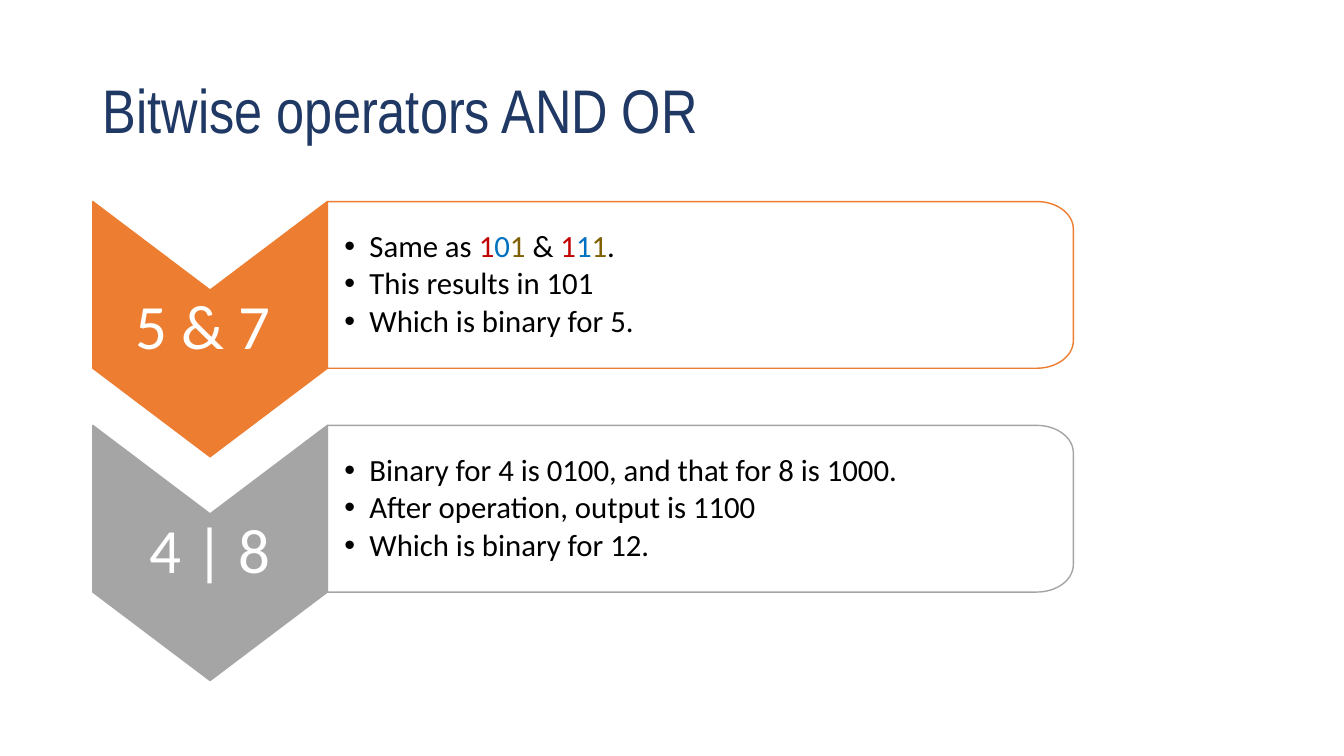
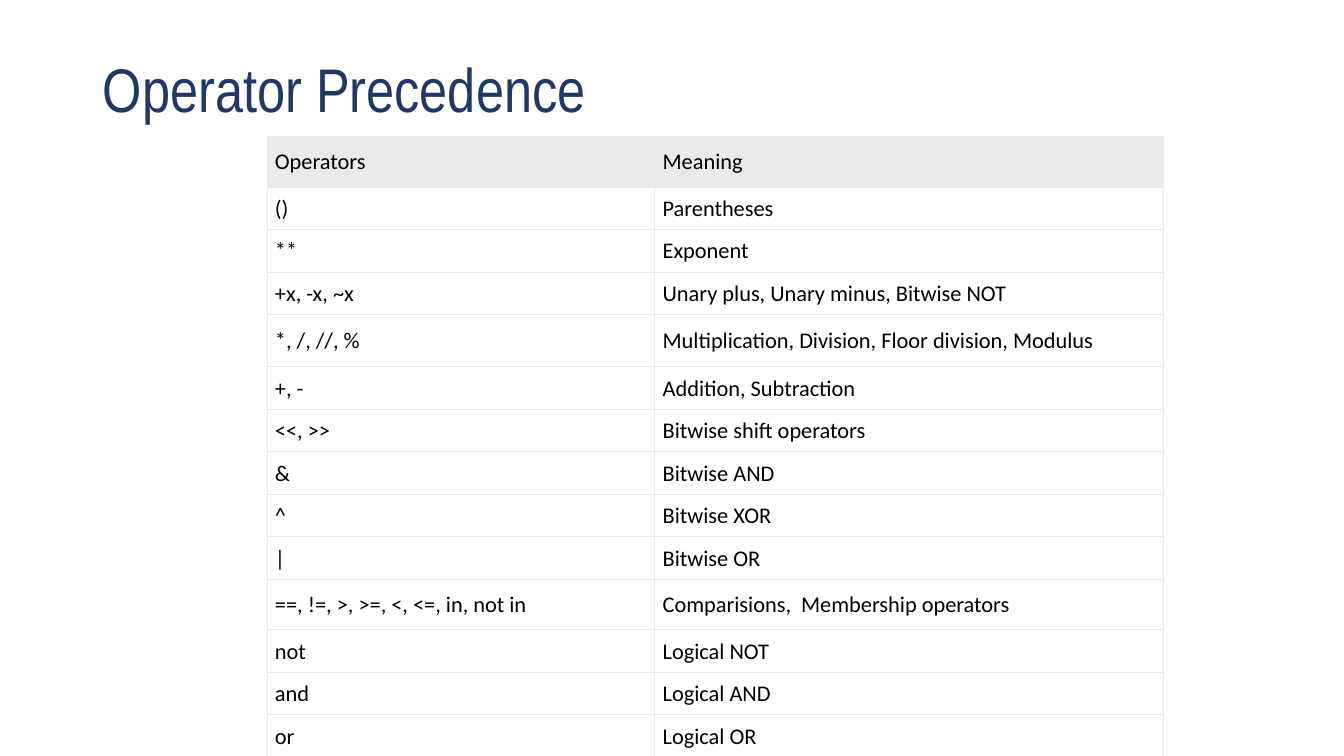
from dataclasses import dataclass
from math import cos, pi, sin
from typing import Sequence, Union

from lxml.etree import SubElement
from pptx import Presentation
from pptx.dml.color import RGBColor
from pptx.enum.text import MSO_ANCHOR as Anchor, MSO_AUTO_SIZE as AutoSize, PP_ALIGN as Align
from pptx.oxml import parse_xml
from pptx.oxml.ns import nsdecls, qn
from pptx.util import Cm, Pt

COLORS = {
    "navy": "203864",
    "orange": "ED7D31",
    "gray": "A5A5A5",
    "white": "FFFFFF",
    "black": "000000",
    "red": "C00000",
    "blue": "0070C0",
    "olive": "806000",
    "pale": "EAEAEC",
}
HEADING_FONT, TEXT_FONT = "Arial Narrow", "Calibri"

LEFT = Cm(2.34)
STEP_TOP, STEP_PITCH = Cm(5.08), Cm(5.64)
CHEVRON_WIDTH, CHEVRON_HEIGHT = Cm(5.91), Cm(6.43)
PANEL_WIDTH, PANEL_HEIGHT = Cm(18.8), Cm(4.2)
CORNER_WIDTH, CORNER_HEIGHT = Cm(0.92), Cm(0.69)
CORNER_PARTS = 16


@dataclass(frozen=True)
class Run:
    text: str
    color: str = "black"


Paragraph = Union[str, Sequence[Run]]


@dataclass(frozen=True)
class Step:
    label: str
    color: str
    points: Sequence[Paragraph]


@dataclass(frozen=True)
class Precedence:
    operators: str
    meaning: str
    height: float = 0.89


def colored_bits(bits: str) -> list[Run]:
    return [Run(bit, color) for bit, color in zip(bits, ("red", "blue", "olive"))]


STEPS = [
    Step("5 & 7 ", "orange", [
        [Run("Same as "), *colored_bits("101"), Run(" & "), *colored_bits("111"), Run(".")],
        "This results in 101",
        "Which is binary for 5.",
    ]),
    Step("4 | 8", "gray", [
        "Binary for 4 is 0100, and that for 8 is 1000.",
        "After operation, output is 1100",
        "Which is binary for 12.",
    ]),
]

PRECEDENCES = [
    Precedence("Operators", "Meaning", 1.07),
    Precedence("()", "Parentheses"),
    Precedence("**", "Exponent"),
    Precedence("+x, -x, ~x", "Unary plus, Unary minus, Bitwise NOT"),
    Precedence("*, /, //, %", "Multiplication, Division, Floor division, Modulus", 1.32),
    Precedence("+, -", "Addition, Subtraction"),
    Precedence("<<, >>", "Bitwise shift operators"),
    Precedence("&", "Bitwise AND"),
    Precedence("^", "Bitwise XOR"),
    Precedence("|", "Bitwise OR"),
    Precedence("==, !=, >, >=, <, <=, in, not in", "Comparisions,  Membership operators", 1.27),
    Precedence("not", "Logical NOT"),
    Precedence("and", "Logical AND"),
    Precedence("or", "Logical OR"),
]


def rgb(color: str) -> RGBColor:
    return RGBColor.from_string(COLORS[color])


def write_text(frame, paragraphs: Sequence[Paragraph], *, size: float, color: str = "black",
               font: str = TEXT_FONT, align=Align.LEFT, line_spacing: float = 0.9,
               space_after: float = 0, bulleted: bool = False, margins=None) -> None:
    frame.word_wrap = True
    frame.auto_size = AutoSize.NONE
    frame.vertical_anchor = Anchor.MIDDLE
    if margins:
        frame.margin_left, frame.margin_top, frame.margin_right, frame.margin_bottom = map(Cm, margins)
    for index, content in enumerate(paragraphs):
        paragraph = frame.paragraphs[0] if index == 0 else frame.add_paragraph()
        paragraph.alignment = align
        paragraph.line_spacing = line_spacing
        paragraph.space_before = Pt(0)
        paragraph.space_after = Pt(space_after)
        if bulleted:
            properties = paragraph._p.get_or_add_pPr()
            properties.set("marL", str(Cm(0.63)))
            properties.set("indent", str(-Cm(0.63)))
            SubElement(properties, qn("a:buFont"), typeface="Arial")
            SubElement(properties, qn("a:buChar"), char="•")
        for part in [Run(content, color)] if isinstance(content, str) else content:
            run = paragraph.add_run()
            run.text = part.text
            run.font.name = font
            run.font.size = Pt(size)
            run.font.color.rgb = rgb(part.color)


def place(shape, left: int, top: int, width: int, height: int) -> None:
    shape.left, shape.top, shape.width, shape.height = left, top, width, height


def add_titled_slide(deck, layout: int, title: str, height: float):
    slide = deck.slides.add_slide(deck.slide_layouts[layout])
    place(slide.shapes.title, LEFT, Cm(1.01), Cm(29.21), Cm(height))
    write_text(slide.shapes.title.text_frame, [title], size=44, color="navy", font=HEADING_FONT)
    return slide


def add_outline(slide, points: Sequence[tuple[float, float]], fill: str, line: str):
    builder = slide.shapes.build_freeform(*map(round, points[0]))
    builder.add_line_segments(points[1:], close=True)
    outline = builder.convert_to_shape()
    outline.shadow.inherit = False
    outline.fill.solid()
    outline.fill.fore_color.rgb = rgb(fill)
    outline.line.color.rgb = rgb(line)
    outline.line.width = Pt(1)
    return outline


def add_chevron(slide, step: Step, top: int) -> None:
    middle, right = LEFT + CHEVRON_WIDTH / 2, LEFT + CHEVRON_WIDTH
    shoulder = top + PANEL_HEIGHT
    notch = top + CHEVRON_HEIGHT - PANEL_HEIGHT
    chevron = add_outline(slide, [
        (right, top), (right, shoulder), (middle, top + CHEVRON_HEIGHT),
        (LEFT, shoulder), (LEFT, top), (middle, notch),
    ], step.color, step.color)
    write_text(chevron.text_frame, [step.label], size=45, color="white", align=Align.CENTER,
               margins=(0.08, 2.34, 0.08, 2.34))


def add_panel(slide, step: Step, top: int, points_holder) -> None:
    left = LEFT + CHEVRON_WIDTH
    right, bottom = left + PANEL_WIDTH, top + PANEL_HEIGHT
    angles = [pi / 2 * part / CORNER_PARTS for part in range(CORNER_PARTS + 1)]
    upper_corner = [(right - CORNER_WIDTH * (1 - sin(a)), top + CORNER_HEIGHT * (1 - cos(a)))
                    for a in angles]
    lower_corner = [(x, top + bottom - y) for x, y in reversed(upper_corner)]
    panel = add_outline(slide, [(left, top), *upper_corner, *lower_corner, (left, bottom)],
                        "white", step.color)
    fill_color = panel.element.spPr.find(qn("a:solidFill")).find(qn("a:srgbClr"))
    SubElement(fill_color, qn("a:alpha"), val="90000")
    place(points_holder, left, top, PANEL_WIDTH, PANEL_HEIGHT)
    write_text(points_holder.text_frame, step.points, size=22, space_after=3, bulleted=True,
               margins=(0.43, 0.25, 0.25, 0.25))
    panel.element.addnext(points_holder.element)


def add_borders(cell, color: str) -> None:
    properties = cell._tc.get_or_add_tcPr()
    for index, side in enumerate(("lnL", "lnR", "lnT", "lnB")):
        properties.insert(index, parse_xml(
            f'<a:{side} {nsdecls("a")} w="{Pt(0.75)}"><a:solidFill>'
            f'<a:srgbClr val="{COLORS[color]}"/></a:solidFill></a:{side}>'))


def fill_cell(cell, text: str, is_header: bool) -> None:
    cell.fill.solid()
    cell.fill.fore_color.rgb = rgb("pale" if is_header else "white")
    cell.vertical_anchor = Anchor.MIDDLE
    cell.margin_left, cell.margin_right = Cm(0.2), Cm(0.15)
    cell.margin_top, cell.margin_bottom = (Cm(0.3), Cm(0.28)) if is_header else (Cm(0.2), Cm(0.18))
    add_borders(cell, "pale")
    paragraph = cell.text_frame.paragraphs[0]
    run = paragraph.add_run()
    run.text = text
    run.font.name = TEXT_FONT
    run.font.size = Pt(16)
    run.font.bold = False
    run.font.color.rgb = rgb("black")


def build_bitwise_slide(deck) -> None:
    slide = add_titled_slide(deck, 3, "Bitwise operators AND OR", 3.68)
    holders = [holder for holder in slide.placeholders if holder.placeholder_format.idx > 0]
    for index, (step, holder) in enumerate(zip(STEPS, holders)):
        top = STEP_TOP + index * STEP_PITCH
        add_chevron(slide, step, top)
        add_panel(slide, step, top, holder)


def build_precedence_slide(deck) -> None:
    slide = add_titled_slide(deck, 5, "Operator Precedence", 2.64)
    widths = (Cm(9.77), Cm(12.82))
    total_height = sum(Cm(row.height) for row in PRECEDENCES)
    table = slide.shapes.add_table(len(PRECEDENCES), len(widths), Cm(6.73), Cm(3.44),
                                   sum(widths), total_height).table
    table.first_row = table.horz_banding = False
    for column, width in zip(table.columns, widths):
        column.width = width
    for index, precedence in enumerate(PRECEDENCES):
        row = table.rows[index]
        row.height = Cm(precedence.height)
        for cell, text in zip(row.cells, (precedence.operators, precedence.meaning)):
            fill_cell(cell, text, index == 0)


def main() -> None:
    deck = Presentation()
    deck.slide_width, deck.slide_height = Cm(33.87), Cm(19.05)
    build_bitwise_slide(deck)
    build_precedence_slide(deck)
    deck.save("out.pptx")


if __name__ == "__main__":
    main()
